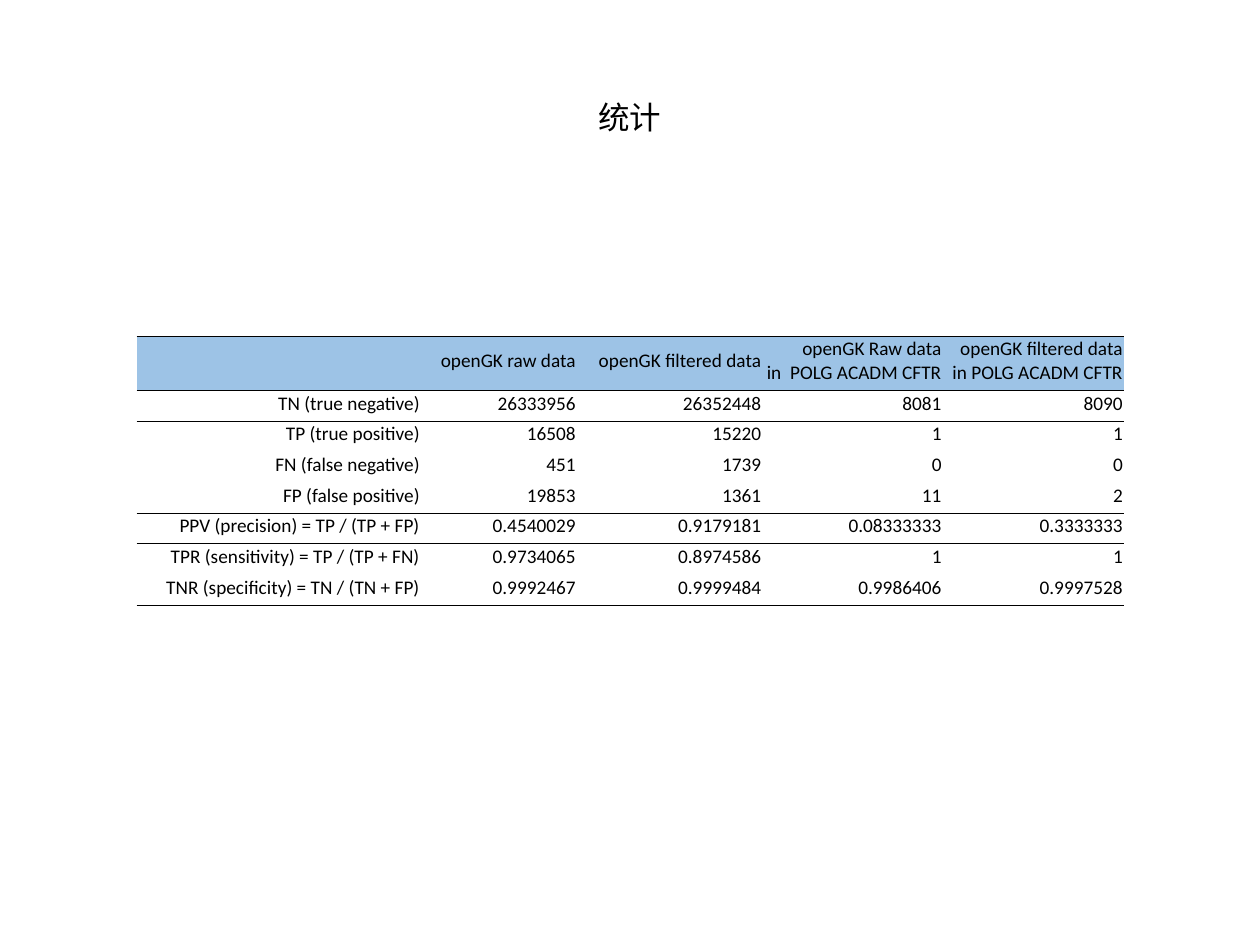
from lxml.etree import SubElement
from pptx import Presentation
from pptx.dml.color import RGBColor
from pptx.enum.text import MSO_ANCHOR as Anchor, PP_ALIGN as Align
from pptx.oxml.ns import qn
from pptx.util import Pt

TITLE = "统计"
HEADER = [
    "",
    "openGK raw data",
    "openGK filtered data",
    "openGK Raw data\nin  POLG ACADM CFTR",
    "openGK filtered data\nin POLG ACADM CFTR",
]
COUNTS = [
    ("TN (true negative)", "26333956", "26352448", "8081", "8090"),
    ("TP (true positive)", "16508", "15220", "1", "1"),
    ("FN (false negative)", "451", "1739", "0", "0"),
    ("FP (false positive)", "19853", "1361", "11", "2"),
]
RATES = [
    ("PPV (precision) = TP / (TP + FP)", "0.4540029", "0.9179181", "0.08333333", "0.3333333"),
    ("TPR (sensitivity) = TP / (TP + FN)", "0.9734065", "0.8974586", "1", "1"),
    ("TNR (specificity) = TN / (TN + FP)", "0.9992467", "0.9999484", "0.9986406", "0.9997528"),
]
ROWS = [HEADER, *COUNTS, *RATES]
RULES = {0, 1, 1 + len(COUNTS), len(ROWS)}  # row boundaries that carry a line

BLACK, HEADER_BLUE = "000000", "9DC3E6"
RULE_WIDTH = 0.5
TABLE_LEFT, TABLE_TOP = 78, 192
COLUMN_WIDTHS = [162.6, 89.1, 106, 103, 103.6]
HEADER_HEIGHT, ROW_HEIGHT = 31.2, 15.1
NO_STYLE = "{2D5ABB26-0587-4C30-8999-92F81FD0307C}"


def color(value):
    """Turn a hex string into a colour."""
    return RGBColor.from_string(value)


def set_text(frame, text, font, size, align):
    """Write the text, one paragraph per line, in a single font."""
    frame.text = text
    for paragraph in frame.paragraphs:
        paragraph.alignment = align
        paragraph.font.name = font
        paragraph.font.size = Pt(size)
        paragraph.font.color.rgb = color(BLACK)


def set_margins(target, left, top, right, bottom):
    """Set the four inner margins of a cell or text frame."""
    target.margin_left, target.margin_top = Pt(left), Pt(top)
    target.margin_right, target.margin_bottom = Pt(right), Pt(bottom)


def add_rule(cell, edge):
    """Draw a thin black line on one edge of a cell."""
    line = SubElement(cell._tc.get_or_add_tcPr(), qn(f"a:{edge}"), w=str(Pt(RULE_WIDTH)))
    fill = SubElement(line, qn("a:solidFill"))
    SubElement(fill, qn("a:srgbClr"), val=BLACK)


def add_title(slide):
    """Add the centred heading."""
    frame = slide.shapes.add_textbox(Pt(36), Pt(21.6), Pt(648), Pt(90)).text_frame
    frame.word_wrap = True
    frame.vertical_anchor = Anchor.MIDDLE
    set_margins(frame, 0, 0, 0, 0)
    set_text(frame, TITLE, "Arial", 18, Align.CENTER)


def add_statistics(slide):
    """Add the table of counts and rates."""
    heights = [HEADER_HEIGHT] + [ROW_HEIGHT] * (len(ROWS) - 1)
    table = slide.shapes.add_table(
        len(ROWS), len(HEADER), Pt(TABLE_LEFT), Pt(TABLE_TOP),
        Pt(sum(COLUMN_WIDTHS)), Pt(sum(heights)),
    ).table
    table.first_row = table.horz_banding = False
    table._tbl.tblPr.find(qn("a:tableStyleId")).text = NO_STYLE
    for column, width in zip(table.columns, COLUMN_WIDTHS):
        column.width = Pt(width)
    for index, (values, height) in enumerate(zip(ROWS, heights)):
        table.rows[index].height = Pt(height)
        for cell, value in zip(table.rows[index].cells, values):
            set_margins(cell, 0.7, 0.7, 0.7, 3.6)
            cell.vertical_anchor = Anchor.MIDDLE
            set_text(cell.text_frame, value, "Calibri", 11, Align.RIGHT)
            for edge, boundary in (("lnT", index), ("lnB", index + 1)):
                if boundary in RULES:
                    add_rule(cell, edge)
            if index == 0:
                cell.fill.solid()
                cell.fill.fore_color.rgb = color(HEADER_BLUE)
            else:
                cell.fill.background()


presentation = Presentation()
presentation.slide_width, presentation.slide_height = Pt(720), Pt(540)
slide = presentation.slides.add_slide(presentation.slide_layouts[6])
add_title(slide)
add_statistics(slide)
presentation.save("out.pptx")
